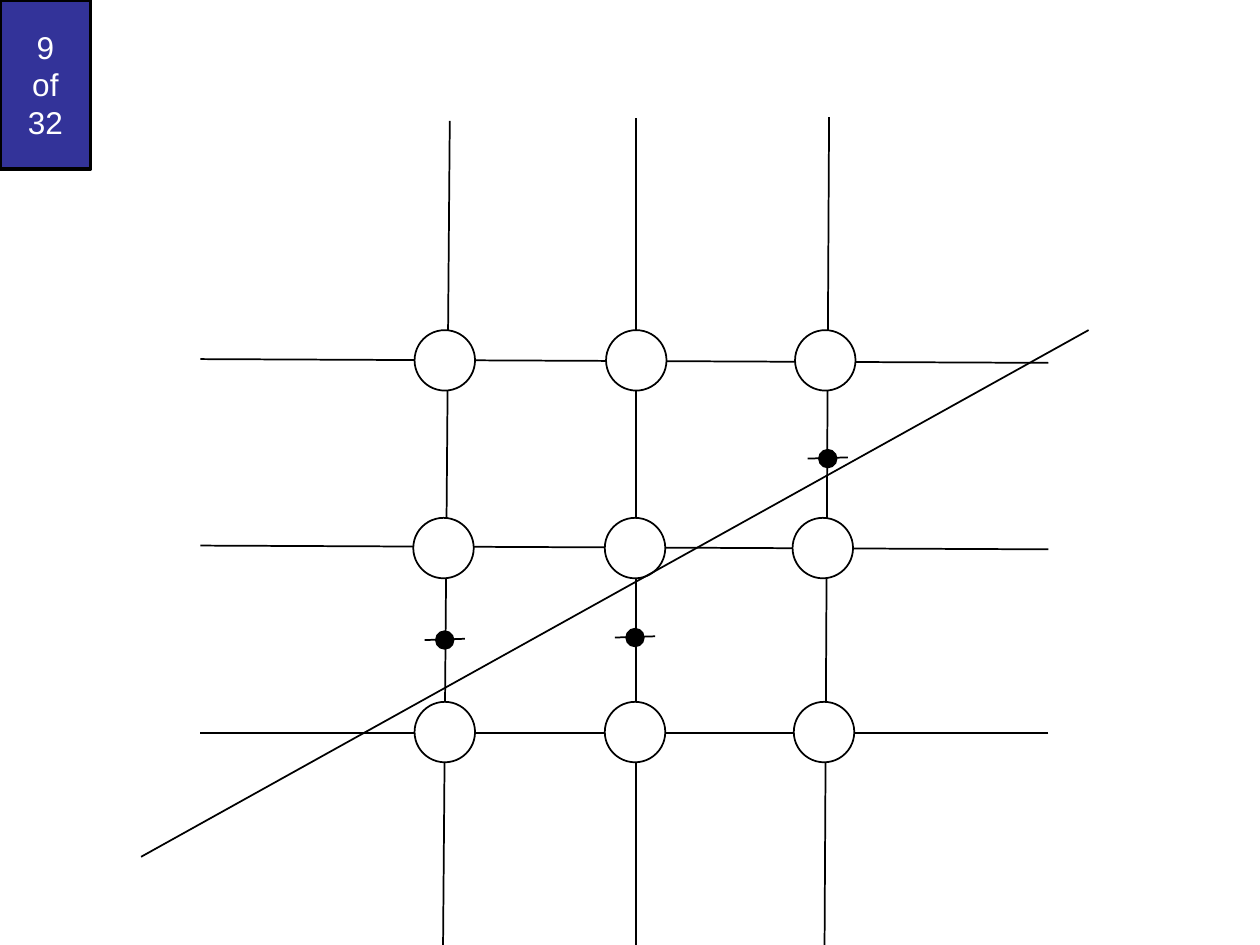
import pptx
import pptx.util
import pptx.dml.color
import pptx.enum.shapes
import pptx.enum.text
import pptx.oxml

SCALE = 9144  # EMU per px, 100 px to the inch
SHAPE = pptx.enum.shapes.MSO_SHAPE
INK = "000000"


def px(n):
    return pptx.util.Emu(n * SCALE)


def paint(fmt, color):
    fmt.solid()
    fmt.fore_color.rgb = pptx.dml.color.RGBColor.from_string(color)


def line(parts, x1, y1, x2, y2):
    kind = pptx.enum.shapes.MSO_CONNECTOR.STRAIGHT
    item = parts.add_connector(kind, px(x1), px(y1), px(x2), px(y2))
    paint(item.line.fill, INK)
    item.line.width = pptx.util.Pt(1)
    ns = pptx.oxml.ns.nsdecls("a")
    item._element.spPr.append(pptx.oxml.parse_xml(f"<a:effectLst {ns}/>"))


def solid(parts, kind, box, color, width=1):
    item = parts.add_shape(kind, *map(px, box))
    item.shadow.inherit = False
    paint(item.fill, color)
    paint(item.line.fill, INK)
    item.line.width = pptx.util.Pt(width)
    return item


def counter(slide, box, text):
    item = solid(slide.shapes, SHAPE.RECTANGLE, box, "333399", 2)
    frame = item.text_frame
    frame.word_wrap = True
    frame.vertical_anchor = pptx.enum.text.MSO_ANCHOR.MIDDLE
    frame.text = text
    para = frame.paragraphs[0]
    para.alignment = pptx.enum.text.PP_ALIGN.CENTER
    for run in para.runs:
        for key, value in {"name": "Arial", "size": pptx.util.Pt(18)}.items():
            setattr(run.font, key, value)
        paint(run.font.fill, "FFFFFF")


def grid(slide, box):
    left, top, width, height = box
    parts = slide.shapes.add_group_shape().shapes

    # Rows: right end, left end
    for y1, y2 in ((343, 340), (489, 489), (195, 192)):
        line(parts, left + width, top + y1, left, top + y2)

    # Columns: upper end, lower end
    for x1, y1, x2 in ((198, 3, 192), (346, 1, 346), (499, 0, 495)):
        line(parts, left + x1, top + y1, left + x2, top + height)

    # Pixel nodes
    nodes = {169: (170, 322, 472), 318: (169, 321, 470), 464: (170, 321, 471)}
    for y, row in nodes.items():
        for x in row:
            solid(parts, SHAPE.OVAL, (left + x, top + y, 48, 48), "FFFFFF")

    # Sloping line across the grid
    line(parts, left - 47, top + 587, left + 705, top + 169)


def mark(slide, box):
    left, top, width, height = box
    parts = slide.shapes.add_group_shape().shapes
    mid = top + height // 2
    line(parts, left, mid, left + width, mid - 1)
    dot = (left + (width - height) // 2, top, height, height)
    solid(parts, SHAPE.OVAL, dot, INK)


def main():
    deck = pptx.Presentation()
    deck.slide_width, deck.slide_height = px(1000), px(750)
    slide = deck.slides.add_slide(deck.slide_layouts[6])
    counter(slide, (0, 0, 72, 134), "9\vof\v32")
    grid(slide, (159, 93, 673, 736))
    # Midpoints
    for x, y in ((337, 501), (488, 499), (641, 357)):
        mark(slide, (x, y, 32, 14))
    deck.save("out.pptx")


if __name__ == "__main__":
    main()
